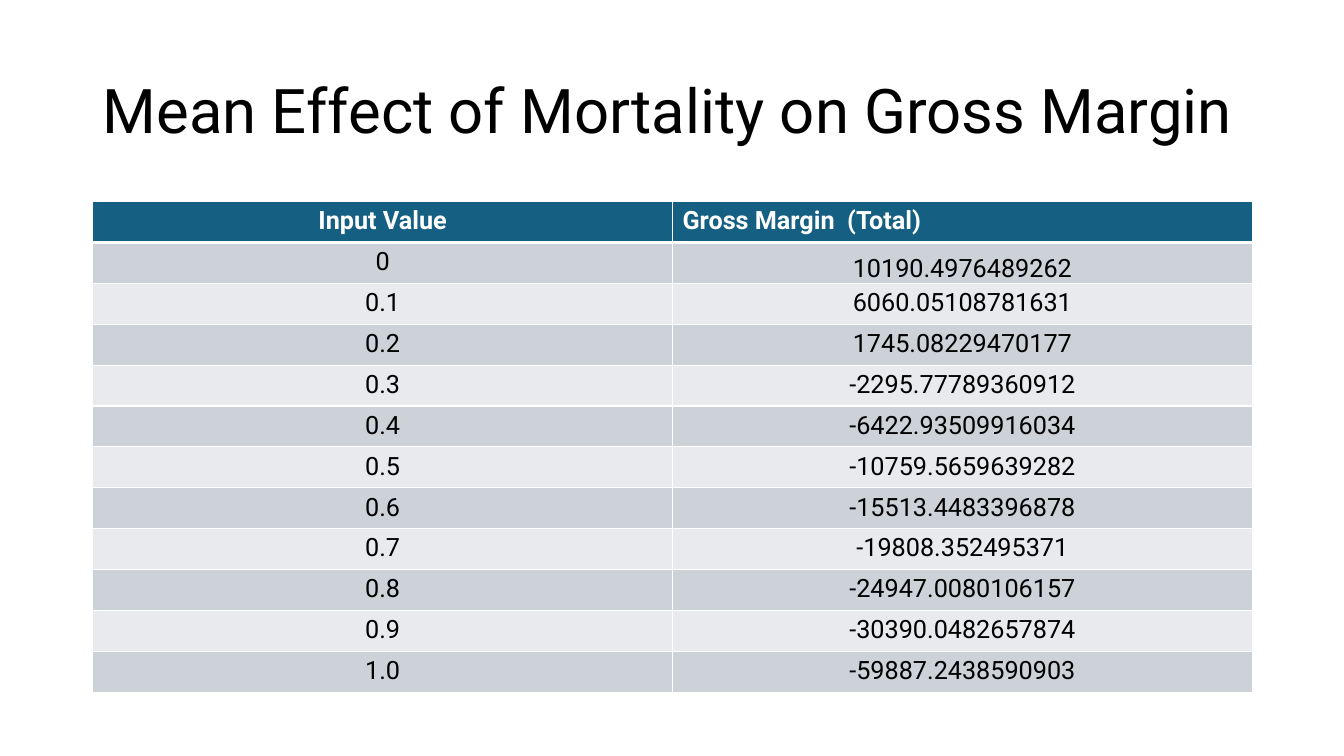
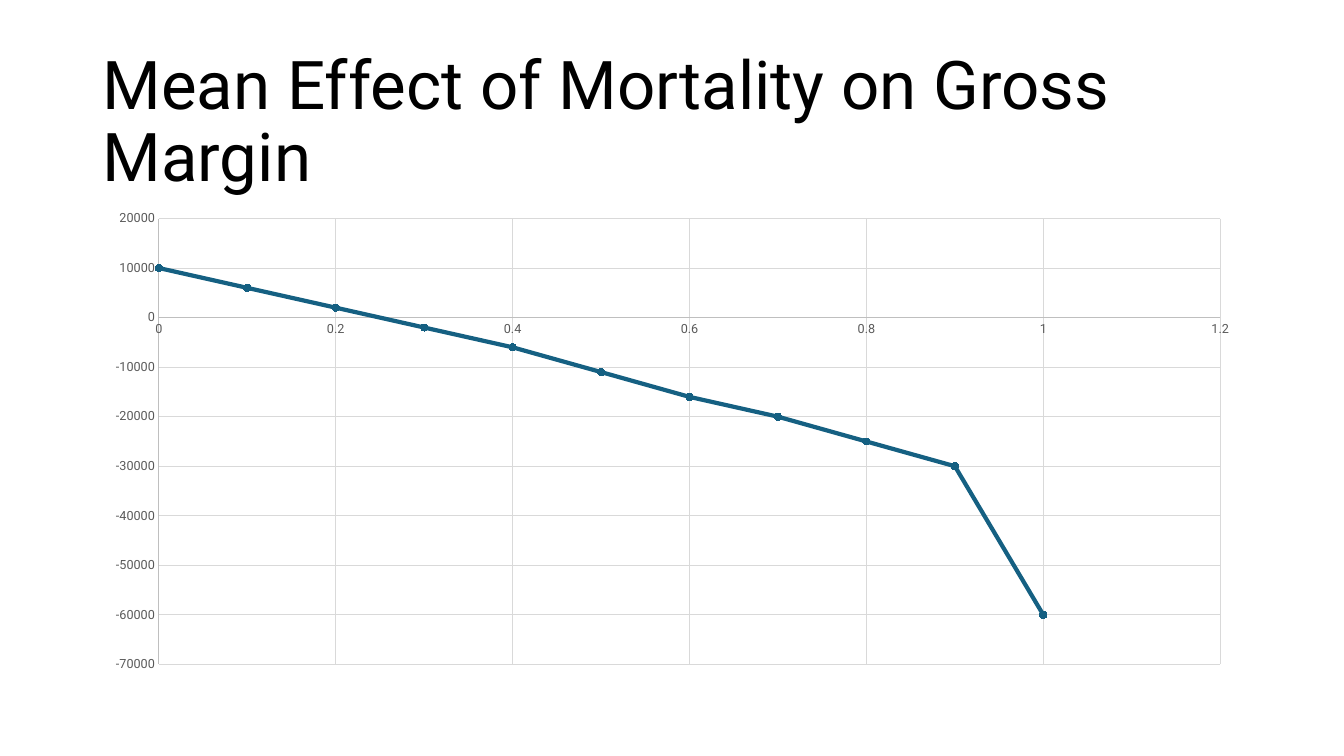
from lxml import etree
from pptx import Presentation
from pptx.chart.data import XyChartData
from pptx.dml.color import RGBColor
from pptx.enum import chart as chart_enum, text
from pptx.oxml import ns
from pptx.util import Inches, Pt

FONT = "Roboto"
BLACK, WHITE, TEAL = "000000", "FFFFFF", "156082"
BANDS = ["CCD2D8", "E8EAED"]
AXIS_TEXT, AXIS_LINE, GRID = "595959", "BFBFBF", "D9D9D9"
LEFT, WIDTH, BODY_TOP = Inches(0.92), Inches(11.5), Inches(2)

HEADER = ("Input Value", "Gross Margin  (Total)")
MARGINS = [
    ("0", "10190.4976489262"),
    ("0.1", "6060.05108781631"),
    ("0.2", "1745.08229470177"),
    ("0.3", "-2295.77789360912"),
    ("0.4", "-6422.93509916034"),
    ("0.5", "-10759.5659639282"),
    ("0.6", "-15513.4483396878"),
    ("0.7", "-19808.352495371"),
    ("0.8", "-24947.0080106157"),
    ("0.9", "-30390.0482657874"),
    ("1.0", "-59887.2438590903"),
]


def style_font(font, size, colour, bold=False):
    font.name, font.size, font.bold = FONT, Pt(size), bold
    font.color.rgb = RGBColor.from_string(colour)


def add_titled_slide(top, height, size):
    slide = presentation.slides.add_slide(presentation.slide_layouts[6])
    frame = slide.shapes.add_textbox(LEFT, Inches(top), WIDTH, Inches(height)).text_frame
    frame.word_wrap = True
    frame.vertical_anchor = text.MSO_ANCHOR.MIDDLE
    paragraph = frame.paragraphs[0]
    paragraph.line_spacing = 0.9
    run = paragraph.add_run()
    run.text = "Mean Effect of Mortality on Gross Margin"
    style_font(run.font, size, BLACK)
    return slide


presentation = Presentation()
presentation.slide_width, presentation.slide_height = Inches(13.33), Inches(7.5)

# Table slide
slide = add_titled_slide(0.4, 1.45, 44)
rows = [HEADER] + MARGINS
table = slide.shapes.add_table(len(rows), 2, LEFT, BODY_TOP, WIDTH, Inches(4.87)).table
table.horz_banding = False
for row_index, row in enumerate(rows):
    is_header = row_index == 0
    for column_index, value in enumerate(row):
        cell = table.cell(row_index, column_index)
        # Borders come before the fill in the cell properties
        properties = cell._tc.get_or_add_tcPr()
        thick_side = {0: "lnB", 1: "lnT"}.get(row_index)
        for side in ("lnL", "lnR", "lnT", "lnB"):
            width = Pt(3 if side == thick_side else 1)
            border = etree.SubElement(properties, ns.qn(f"a:{side}"), w=str(width))
            fill = etree.SubElement(border, ns.qn("a:solidFill"))
            etree.SubElement(fill, ns.qn("a:srgbClr"), val=WHITE)
        cell.fill.solid()
        colour = TEAL if is_header else BANDS[(row_index - 1) % 2]
        cell.fill.fore_color.rgb = RGBColor.from_string(colour)
        paragraph = cell.text_frame.paragraphs[0]
        paragraph.alignment = text.PP_ALIGN.CENTER
        run = paragraph.add_run()
        run.text = value
        style_font(run.font, 18, WHITE if is_header else BLACK, is_header)
table.cell(0, 1).text_frame.paragraphs[0].alignment = text.PP_ALIGN.LEFT
first_margin = table.cell(1, 1)
first_margin.vertical_anchor = text.MSO_ANCHOR.BOTTOM
first_margin.margin_left = first_margin.margin_right = first_margin.margin_top = Inches(0.01)
first_margin.margin_bottom = 0

# Chart slide
slide = add_titled_slide(0.61, 1.24, 48)
data = XyChartData()
points = data.add_series("Series 1")
for mortality, margin in MARGINS:
    points.add_data_point(float(mortality), round(float(margin) / 1000) * 1000)
chart = slide.shapes.add_chart(
    chart_enum.XL_CHART_TYPE.XY_SCATTER_LINES, LEFT, BODY_TOP, WIDTH, Inches(4.76), data
).chart
chart.has_legend = chart.has_title = False
style_font(chart.font, 10, BLACK)
chart.plots[0].vary_by_categories = False

for axis, low, high, step in (
    (chart.category_axis, 0, 1.2, 0.2),
    (chart.value_axis, -70000, 20000, 10000),
):
    axis.minimum_scale, axis.maximum_scale, axis.major_unit = low, high, step
    axis.major_tick_mark = axis.minor_tick_mark = chart_enum.XL_TICK_MARK.NONE
    axis.has_major_gridlines = True
    axis.tick_labels.number_format = "General"
    axis.tick_labels.number_format_is_linked = False
    style_font(axis.tick_labels.font, 9, AXIS_TEXT)
    for line, colour in ((axis.format.line, AXIS_LINE), (axis.major_gridlines.format.line, GRID)):
        line.width = Pt(0.75)
        line.color.rgb = RGBColor.from_string(colour)

series = chart.plots[0].series[0]
series.smooth = False
series.format.line.width = Pt(3)
series.marker.style, series.marker.size = chart_enum.XL_MARKER_STYLE.CIRCLE, 5
series.marker.format.fill.solid()
for color in (
    series.format.line.color,
    series.marker.format.fill.fore_color,
    series.marker.format.line.color,
):
    color.rgb = RGBColor.from_string(TEAL)

presentation.save("out.pptx")
